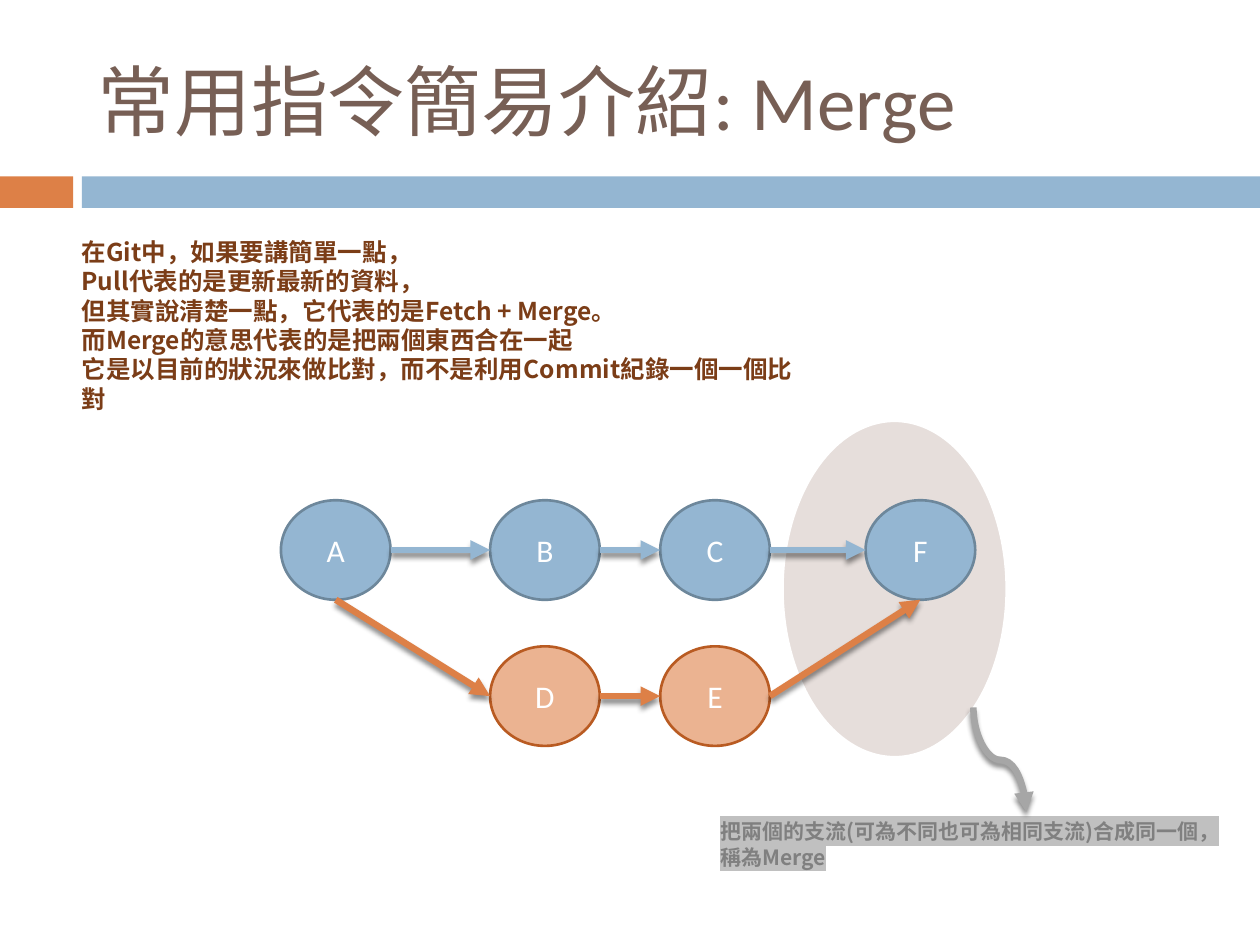
"""Build a slide that explains Git merge with a branch diagram."""
import pptx
import pptx.util
import pptx.dml.color
import pptx.enum.shapes
import pptx.enum.text
import pptx.oxml

Inches, Pt = pptx.util.Inches, pptx.util.Pt
SHAPE = pptx.enum.shapes.MSO_SHAPE
LINE = pptx.enum.shapes.MSO_CONNECTOR
ALIGN = pptx.enum.text.PP_ALIGN
ANCHOR = pptx.enum.text.MSO_ANCHOR
NS = 'xmlns:a="http://schemas.openxmlformats.org/drawingml/2006/main"'

COLORS = {
    "blue": "94B6D2", "blue_edge": "6D879B", "orange": "DD8047",
    "peach": "EBB391", "peach_edge": "B95B22", "halo": "E6DEDB",
    "title": "775F55", "body": "7B3D17", "note": "808080",
    "highlight": "C0C0C0", "gray": "A6A6A6", "white": "FFFFFF",
}
LATIN, CJK = "Calibri", "Noto Sans CJK SC"
NODE_W, NODE_H = 0.87, 0.79
COLS = [2.23, 3.89, 5.24, 6.87]
ROWS = [3.97, 5.13]
NODES = {"A": (0, 0), "B": (1, 0), "C": (2, 0), "F": (3, 0), "D": (1, 1), "E": (2, 1)}
ROW_STYLES = [("blue", "blue_edge"), ("peach", "peach_edge")]
SIDES = {"left": (0, 0.5), "right": (1, 0.5), "bottom": (0.5, 1)}
EDGES = [
    ("A", "right", "B", "left", "blue"),
    ("B", "right", "C", "left", "blue"),
    ("C", "right", "F", "left", "blue"),
    ("A", "bottom", "D", "left", "orange"),
    ("D", "right", "E", "left", "orange"),
    ("E", "right", "F", "bottom", "orange"),
]
TITLE = "常用指令簡易介紹: Merge"
BODY = [
    "在Git中，如果要講簡單一點，",
    "Pull代表的是更新最新的資料，",
    "但其實說清楚一點，它代表的是Fetch + Merge。",
    "而Merge的意思代表的是把兩個東西合在一起",
    "它是以目前的狀況來做比對，而不是利用Commit紀錄一個一個比對",
]
NOTE = ["把兩個的支流(可為不同也可為相同支流)合成同一個，", "稱為Merge"]


def rgb(name):
    return pptx.dml.color.RGBColor.from_string(COLORS[name])


def xml(text):
    return pptx.oxml.parse_xml(text)


def write(tf, lines, color, align=ALIGN.LEFT, highlight=None, **font):
    for i, line in enumerate(lines):
        p = tf.paragraphs[0] if i == 0 else tf.add_paragraph()
        p.alignment = align
        r = p.add_run()
        r.text = line
        for key, value in font.items():
            setattr(r.font, key, value)
        r.font.color.rgb = rgb(color)
        rPr = r.font._element
        rPr.append(xml(f'<a:ea {NS} typeface="{CJK}"/>'))
        if highlight:
            mark = xml(f'<a:highlight {NS}><a:srgbClr val="{COLORS[highlight]}"/></a:highlight>')
            rPr.find(pptx.oxml.ns.qn("a:latin")).addprevious(mark)


def add_block(s, kind, box, fill, edge=None):
    sp = s.shapes.add_shape(kind, *map(Inches, box))
    sp.shadow.inherit = False
    sp.fill.solid()
    sp.fill.fore_color.rgb = rgb(fill)
    if edge:
        sp.line.color.rgb = rgb(edge)
        sp.line.width = Pt(1.5)
    else:
        sp.line.fill.background()
    return sp


def add_title(s):
    sp = s.shapes.title
    box = {"left": 0.67, "top": 0.25, "width": 8.92, "height": 1.08}
    for key, value in box.items():
        setattr(sp, key, Inches(value))
    sp.text_frame.vertical_anchor = ANCHOR.MIDDLE
    write(sp.text_frame, [TITLE], "title", size=Pt(44), name=LATIN)


def add_text(s, box, lines, color, size, highlight=None):
    tf = s.shapes.add_textbox(*map(Inches, box)).text_frame
    tf.word_wrap = True
    tf.auto_size = pptx.enum.text.MSO_AUTO_SIZE.SHAPE_TO_FIT_TEXT
    write(tf, lines, color, highlight=highlight, size=Pt(size), name=CJK, bold=True)


def add_node(s, label, col, row):
    box = (COLS[col], ROWS[row], NODE_W, NODE_H)
    sp = add_block(s, SHAPE.OVAL, box, *ROW_STYLES[row])
    sp.text_frame.vertical_anchor = ANCHOR.MIDDLE
    write(sp.text_frame, [label], "white", ALIGN.CENTER, size=Pt(18), name=LATIN)


def port(label, side):
    col, row = NODES[label]
    dx, dy = SIDES[side]
    return COLS[col] + dx * NODE_W, ROWS[row] + dy * NODE_H


def add_arrow(s, start, end, color, kind=LINE.STRAIGHT):
    c = s.shapes.add_connector(kind, *map(Inches, (*start, *end)))
    c.line.color.rgb = rgb(color)
    c.line.width = Pt(3.75)
    c.line._get_or_add_ln().append(xml(f'<a:tailEnd {NS} type="triangle"/>'))
    c._element.spPr.append(xml(
        f'<a:effectLst {NS}><a:outerShdw blurRad="{Pt(3)}" dist="{Pt(2.4)}" dir="5400000" '
        'rotWithShape="0"><a:srgbClr val="000000"><a:alpha val="45000"/></a:srgbClr>'
        '</a:outerShdw></a:effectLst>'))
    return c


def main():
    prs = pptx.Presentation()
    prs.slide_width, prs.slide_height = Inches(10), Inches(7.5)
    s = prs.slides.add_slide(prs.slide_layouts[5])
    add_title(s)
    add_block(s, SHAPE.RECTANGLE, (0, 1.4, 0.58, 0.25), "orange")
    add_block(s, SHAPE.RECTANGLE, (0.65, 1.4, 9.35, 0.25), "blue")
    add_block(s, SHAPE.OVAL, (6.21, 3.34, 1.78, 2.67), "halo", "white")
    add_text(s, (0.55, 1.83, 5.9, 1.28), BODY, "body", 14)
    for label, (col, row) in NODES.items():
        add_node(s, label, col, row)
    for a, a_side, b, b_side, color in EDGES:
        add_arrow(s, port(a, a_side), port(b, b_side), color)
    add_text(s, (5.62, 6.45, 4.24, 0.5), NOTE, "note", 12, "highlight")
    curve = add_arrow(s, (8.35, 5.82), (7.52, 6.24), "gray", LINE.CURVE)
    curve._element.spPr.xfrm.set("rot", str(270 * 60000))
    prs.save("out.pptx")


if __name__ == "__main__":
    main()
